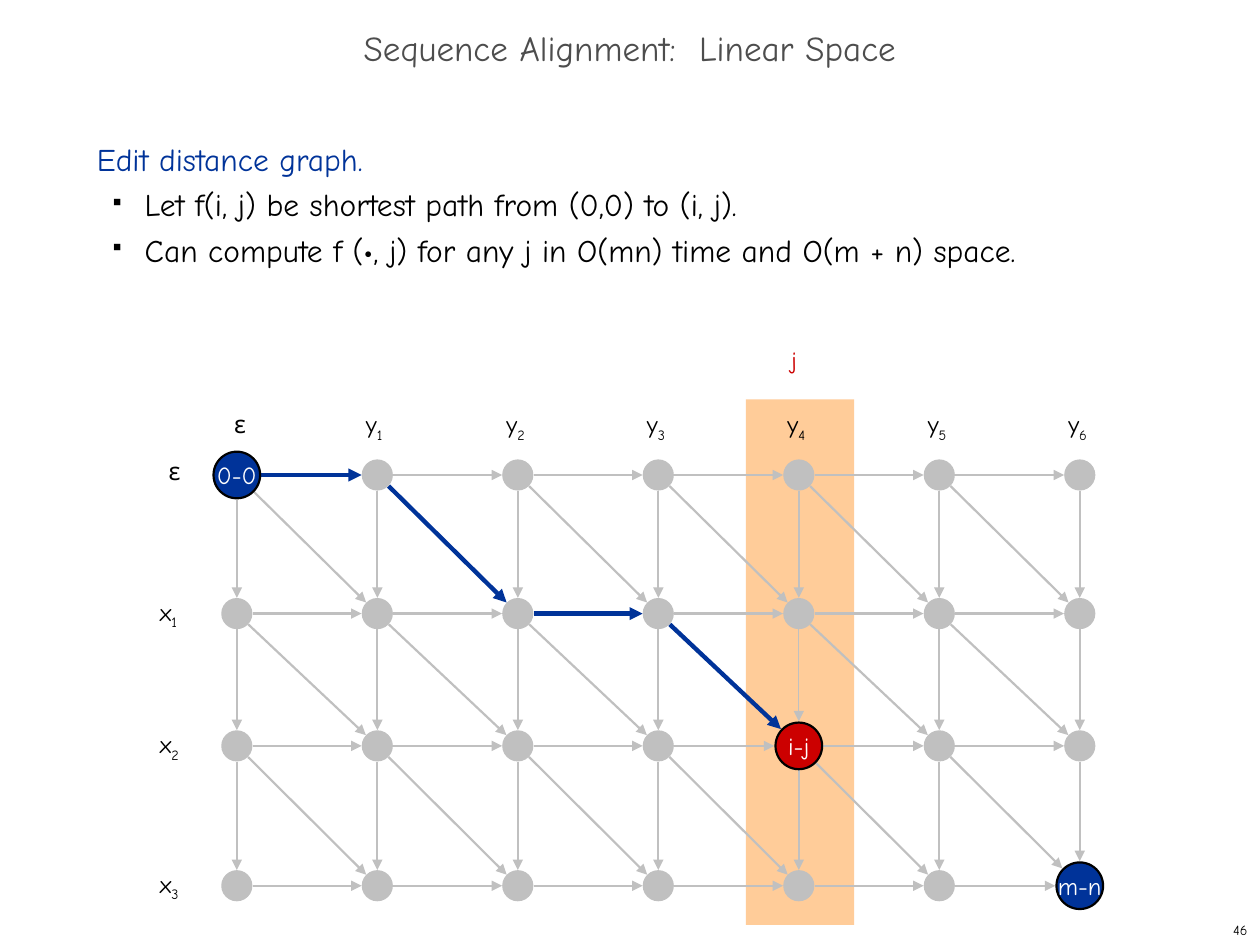
from math import hypot

from lxml.etree import SubElement
from pptx import Presentation
from pptx.dml.color import RGBColor
from pptx.enum.shapes import MSO_CONNECTOR, MSO_SHAPE
from pptx.enum.text import MSO_ANCHOR as Anchor, PP_ALIGN as Align
from pptx.oxml.ns import qn
from pptx.util import Inches, Pt

WIDTH, HEIGHT = 10, 7.5
FONT = "Comic Neue"
COLORS = {
    "blue": "003399", "red": "CC0000", "gray": "C0C0C0", "band": "FFCC99",
    "black": "000000", "white": "FFFFFF", "title": "4D4D4D",
}

# Grid of the edit distance graph, in inches
COLUMNS = [1.88 + 1.115 * column for column in range(7)]
ROWS = [3.77, 4.87, 5.92, 7.03]
NODE_SIZE, BIG_NODE_SIZE = 0.23, 0.37

# Nodes and edges that stand out, as (row, column)
BIG_NODES = {(0, 0): ("0-0", "blue"), (2, 4): ("i-j", "red"), (3, 6): ("m-n", "blue")}
SHORTEST_PATH = [(0, 0), (0, 1), (1, 2), (1, 3), (2, 4)]
PATH_EDGES = set(zip(SHORTEST_PATH, SHORTEST_PATH[1:]))
THIN_EDGES = {((1, 4), (2, 4)), ((2, 3), (2, 4))}


def rgb(name):
    return RGBColor.from_string(COLORS[name])


def set_font(paragraph, size, color):
    font = paragraph.font
    font.name, font.size = FONT, Pt(size)
    font.color.rgb = rgb(color)


def add_text_box(slide, left, top, width, height, wrap=True):
    """Place a text box by shares of the slide's size."""
    box = slide.shapes.add_textbox(
        Inches(left * WIDTH), Inches(top * HEIGHT),
        Inches(width * WIDTH), Inches(height * HEIGHT))
    box.text_frame.word_wrap = wrap
    return box.text_frame


def add_line_of_text(frame, text, size, color, align):
    frame.vertical_anchor = Anchor.MIDDLE
    paragraph = frame.paragraphs[0]
    paragraph.text, paragraph.alignment = text, align
    set_font(paragraph, size, color)
    return paragraph


def add_bullet(paragraph):
    properties = paragraph._p.get_or_add_pPr()
    properties.set("marL", str(Inches(0.38)))
    properties.set("indent", str(Inches(-0.25)))
    color = SubElement(properties, qn("a:buClr"))
    SubElement(color, qn("a:srgbClr")).set("val", COLORS["black"])
    SubElement(properties, qn("a:buSzPct")).set("val", "35000")
    SubElement(properties, qn("a:buChar")).set("char", "■")


def add_body(slide, heading, bullets):
    frame = add_text_box(slide, 0.067, 0.133, 0.858, 0.2)
    for index, text in enumerate([heading, *bullets]):
        paragraph = frame.add_paragraph() if index else frame.paragraphs[0]
        paragraph.text = text
        if index:
            add_bullet(paragraph)
        paragraph.line_spacing = Pt(26)
        set_font(paragraph, 18, "black" if index else "blue")


def add_shape(slide, kind, left, top, width, height, fill, line=None):
    shape = slide.shapes.add_shape(
        kind, Inches(left), Inches(top), Inches(width), Inches(height))
    shape.shadow.inherit = False
    shape.fill.solid()
    shape.fill.fore_color.rgb = rgb(fill)
    if line:
        shape.line.color.rgb = rgb(line)
        shape.line.width = Pt(1.25)
    else:
        shape.line.fill.background()
    return shape


def add_node(slide, row, column):
    text, fill = BIG_NODES.get((row, column), ("", "gray"))
    size = BIG_NODE_SIZE if text else NODE_SIZE
    node = add_shape(slide, MSO_SHAPE.OVAL, COLUMNS[column] - size / 2,
                     ROWS[row] - size / 2, size, size, fill, "black" if text else "gray")
    if text:
        node.text_frame.word_wrap = False
        add_line_of_text(node.text_frame, text, 14, "white", Align.CENTER)


def add_edge(slide, start, end):
    """Join two nodes by an arrow from rim to rim."""
    x1, y1, x2, y2 = COLUMNS[start[1]], ROWS[start[0]], COLUMNS[end[1]], ROWS[end[0]]
    length = hypot(x2 - x1, y2 - y1)
    across, down = (x2 - x1) / length, (y2 - y1) / length
    trim_start, trim_end = (
        (BIG_NODE_SIZE if node in BIG_NODES else NODE_SIZE) / 2 + 0.01
        for node in (start, end))
    edge = slide.shapes.add_connector(
        MSO_CONNECTOR.STRAIGHT,
        Inches(x1 + across * trim_start), Inches(y1 + down * trim_start),
        Inches(x2 - across * trim_end), Inches(y2 - down * trim_end))
    on_path = (start, end) in PATH_EDGES
    edge.line.color.rgb = rgb("blue" if on_path else "gray")
    edge.line.width = Pt(2.5 if on_path else 0.75 if (start, end) in THIN_EDGES else 1.25)
    SubElement(edge.line._get_or_add_ln(), qn("a:tailEnd")).set("type", "triangle")
    SubElement(edge._element.spPr, qn("a:effectLst"))


def add_label(slide, left, top, letter, subscript="", color="black"):
    frame = add_text_box(slide, left / WIDTH, top / HEIGHT, 0.045, 0.044)
    paragraph = frame.paragraphs[0]
    paragraph.add_run().text = letter
    if subscript:
        run = paragraph.add_run()
        run.text = subscript
        run._r.get_or_add_rPr().set("baseline", "-25000")
    set_font(paragraph, 14, color)


def add_graph(slide):
    nodes = [(row, column) for row in range(len(ROWS)) for column in range(len(COLUMNS))]
    # Each node leads right, down and along the diagonal
    for row, column in nodes:
        for end in ((row, column + 1), (row + 1, column), (row + 1, column + 1)):
            if end in nodes:
                add_edge(slide, (row, column), end)
    for row, column in nodes:
        add_node(slide, row, column)

    # Labels of columns and rows
    label_top = 3.2
    add_label(slide, COLUMNS[0] - 0.12, label_top, "ε")
    add_label(slide, 1.24, ROWS[0] - 0.2, "ε")
    for index, x in enumerate(COLUMNS[1:], 1):
        add_label(slide, x - 0.19, label_top, "y", str(index))
    for index, y in enumerate(ROWS[1:], 1):
        add_label(slide, 1.17, y - 0.18, "x", str(index))
    add_label(slide, COLUMNS[4] - 0.16, 2.69, "j", color="red")


def main():
    presentation = Presentation()
    presentation.slide_width, presentation.slide_height = Inches(WIDTH), Inches(HEIGHT)
    slide = presentation.slides.add_slide(presentation.slide_layouts[6])

    # Slide number
    number = add_text_box(slide, 0.792, 0.967, 0.208, 0.033, wrap=False)
    add_line_of_text(number, "46", 8, "black", Align.RIGHT)

    # Band behind column j
    add_shape(slide, MSO_SHAPE.RECTANGLE, COLUMNS[4] - 0.42, 3.17, 0.86, 4.17, "band")

    # Title and body
    title = add_text_box(slide, 0, 0.022, 1, 0.067)
    heading = add_line_of_text(
        title, "Sequence Alignment:  Linear Space", 20, "title", Align.CENTER)
    heading.line_spacing = 0.7
    add_body(slide, "Edit distance graph.", [
        "Let f(i, j) be shortest path from (0,0) to (i, j).",
        "Can compute f (•, j) for any j in O(mn) time and O(m + n) space.",
    ])

    add_graph(slide)
    presentation.save("out.pptx")


if __name__ == "__main__":
    main()
